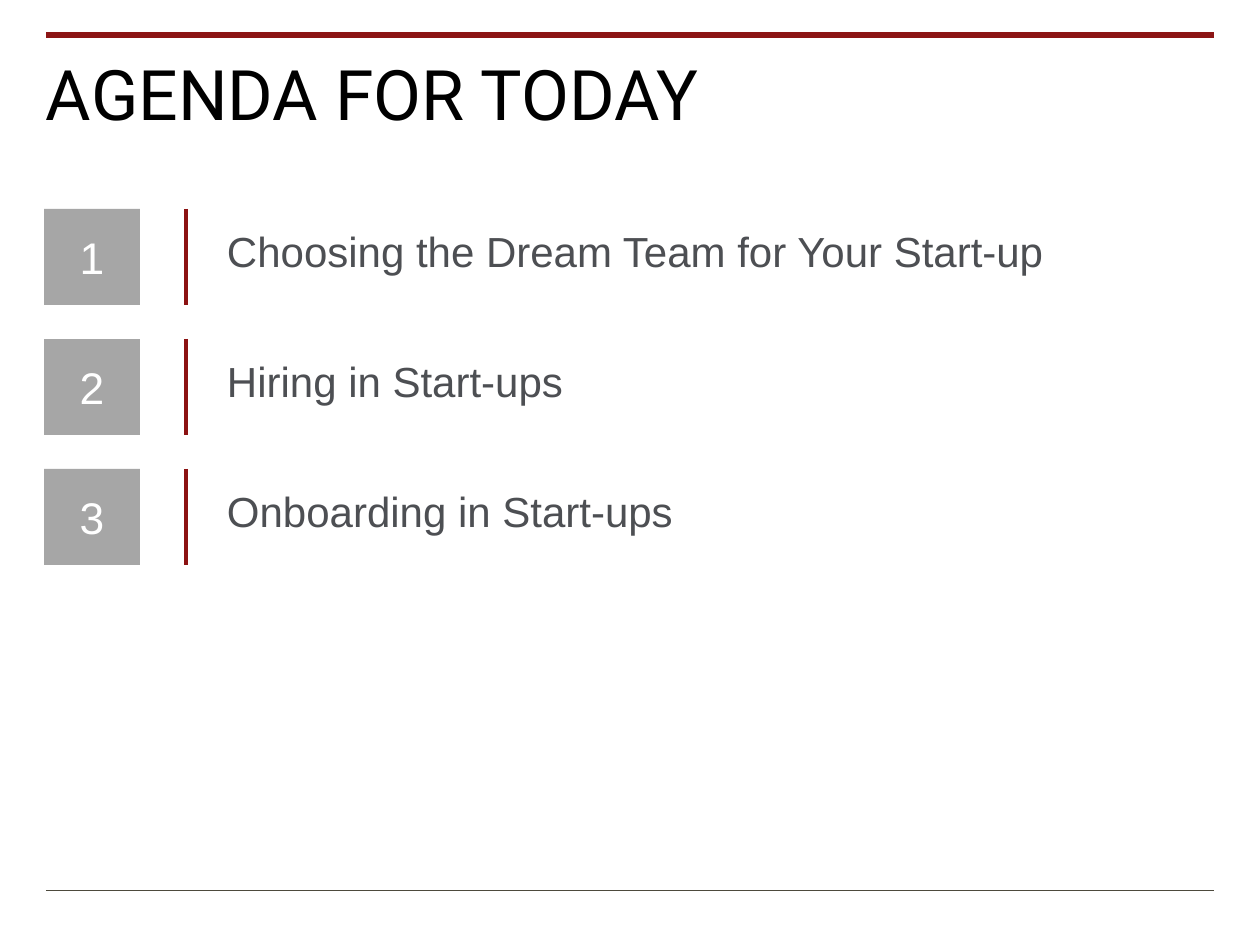
from lxml.etree import SubElement
from pptx import Presentation
from pptx.dml.color import RGBColor
from pptx.enum.shapes import MSO_CONNECTOR, MSO_SHAPE
from pptx.enum.text import MSO_ANCHOR, PP_ALIGN
from pptx.oxml.ns import qn
from pptx.util import Pt

PX = 914400 // 126
RED = RGBColor(0x8C, 0x15, 0x15)
DARK = RGBColor(0x8C, 0x12, 0x12)
OLIVE = RGBColor(0x4D, 0x4A, 0x3D)
SLATE = RGBColor(0x4D, 0x4F, 0x53)
GREY = RGBColor(0xA6, 0xA6, 0xA6)
BLACK = RGBColor(0, 0, 0)
WHITE = RGBColor(0xFF, 0xFF, 0xFF)
TOPICS = (
    "Choosing the Dream Team for Your Start-up",
    "Hiring in Start-ups",
    "Onboarding in Start-ups",
)


def write(shape, text, *, size, color, font="Arial", align=PP_ALIGN.LEFT,
          anchor=MSO_ANCHOR.TOP, pad=(13, 6), wrap=True):
    """Fill a shape with one formatted paragraph."""
    frame = shape.text_frame
    frame.word_wrap = wrap
    frame.vertical_anchor = anchor
    frame.margin_left = frame.margin_right = pad[0] * PX
    frame.margin_top = frame.margin_bottom = pad[1] * PX
    para = frame.paragraphs[0]
    para.alignment = align
    run = para.add_run()
    run.text = text
    run.font.size = Pt(size)
    run.font.name = font
    run.font.color.rgb = color


def label(slide, box, text, **style):
    """Add a text box at the given box."""
    write(slide.shapes.add_textbox(*(n * PX for n in box)), text, **style)


def rule(slide, start, end, color, width):
    """Draw a straight line without a shadow."""
    ends = (n * PX for n in (*start, *end))
    line = slide.shapes.add_connector(MSO_CONNECTOR.STRAIGHT, *ends)
    line.line.color.rgb = color
    line.line.width = Pt(width)
    SubElement(line._element.spPr, qn("a:effectLst"))


def frame(slide, left, top, width, height):
    """Draw the rules above and below the page."""
    for y, color, size in ((top, RED, 3), (top + height, OLIVE, 0.25)):
        rule(slide, (left, y), (left + width, y), color, size)


def topic(slide, left, top, width, height, number, text):
    """Place a numbered tile, its divider and the topic."""
    box = (left, top, height, height)
    tile = slide.shapes.add_shape(MSO_SHAPE.RECTANGLE, *(n * PX for n in box))
    tile.shadow.inherit = False
    tile.fill.solid()
    tile.fill.fore_color.rgb = GREY
    tile.line.fill.background()
    write(tile, str(number), size=25.3, color=WHITE,
          align=PP_ALIGN.CENTER, anchor=MSO_ANCHOR.MIDDLE)
    bar = left + 142
    rule(slide, (bar, top), (bar, top + height), DARK, 2.25)
    label(slide, (left + 170, top + 11, width - 170, 73), text,
          size=24, color=SLATE, wrap=False)


def agenda(slide, left, top, width, height):
    """Stack the topics at an even pitch."""
    gap = 34
    tall = (height - gap * (len(TOPICS) - 1)) // len(TOPICS)
    for i, text in enumerate(TOPICS):
        topic(slide, left, top + i * (tall + gap), width, tall, i + 1, text)


def main():
    """Build and save the slide."""
    deck = Presentation()
    deck.slide_width, deck.slide_height = 1260 * PX, 945 * PX
    slide = deck.slides.add_slide(deck.slide_layouts[6])
    frame(slide, 46, 35, 1168, 855)
    label(slide, (46, 43, 1167, 55), "AGENDA FOR TODAY",
          size=39.8, color=BLACK, font="Roboto", pad=(0, 8))
    agenda(slide, 44, 209, 1169, 356)
    deck.save("out.pptx")


if __name__ == "__main__":
    main()
